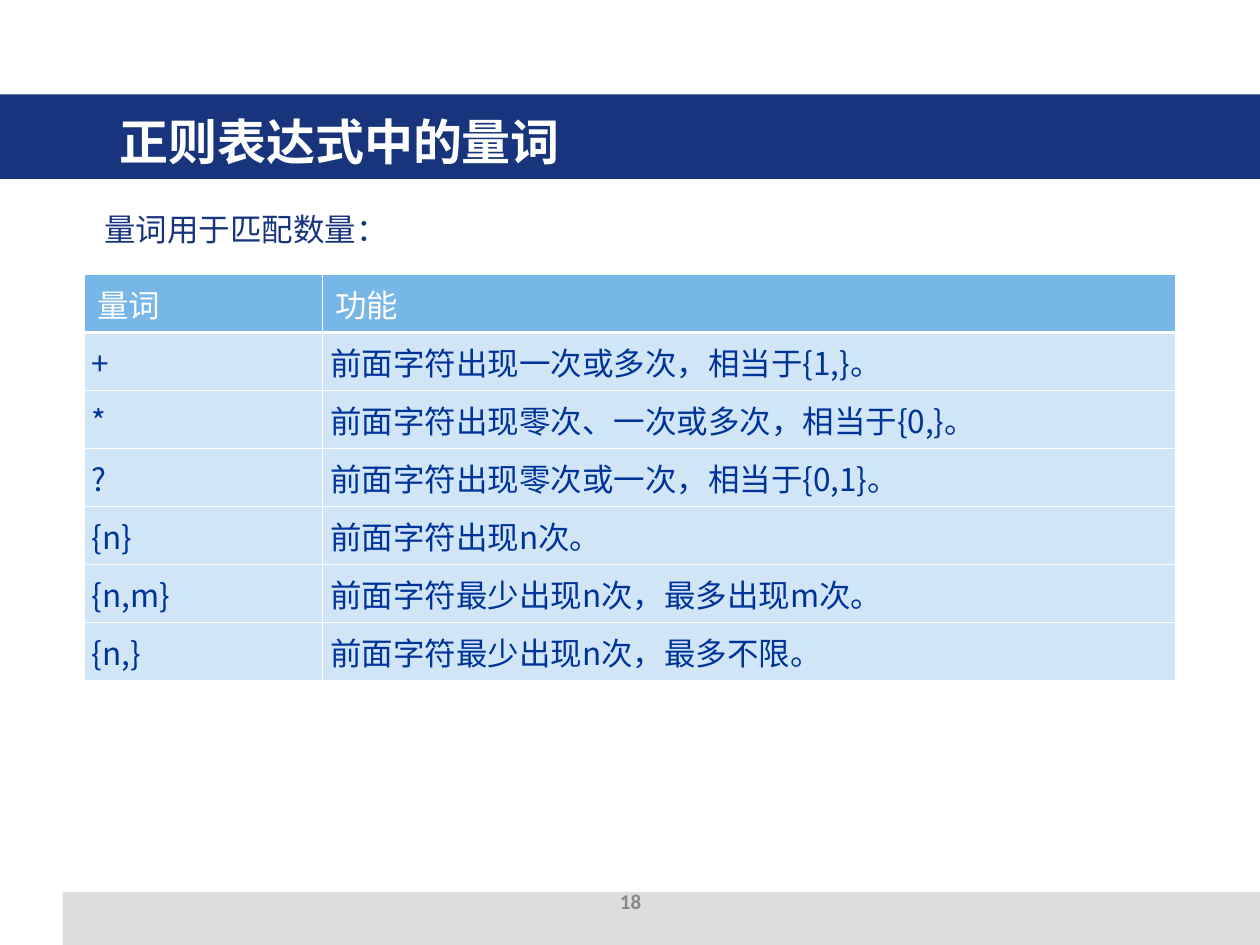
from lxml.etree import SubElement
from pptx import Presentation
from pptx.dml.color import RGBColor
from pptx.enum.shapes import MSO_SHAPE as Shape
from pptx.enum.text import MSO_ANCHOR as Anchor, PP_ALIGN as Align
from pptx.oxml.ns import qn
from pptx.util import Inches, Pt

WHITE = RGBColor(0xFF, 0xFF, 0xFF)
NAVY = RGBColor(0x17, 0x34, 0x7D)
BLUE = RGBColor(0x00, 0x33, 0x99)
SKY = RGBColor(0x77, 0xB7, 0xE7)
PALE_GREY = RGBColor(0xDD, 0xDD, 0xDD)
GREY = RGBColor(0x89, 0x89, 0x89)
FONT = "Noto Sans CJK SC"
THIN, THICK = 0.45, 1.47
COLUMNS = (1.89, 6.77)
ROW_HEIGHT = 0.46
QUANTIFIERS = (
    ("量词", "功能"),
    ("+", "前面字符出现一次或多次，相当于{1,}。"),
    ("*", "前面字符出现零次、一次或多次，相当于{0,}。"),
    ("?", "前面字符出现零次或一次，相当于{0,1}。"),
    ("{n}", "前面字符出现n次。"),
    ("{n,m}", "前面字符最少出现n次，最多出现m次。"),
    ("{n,}", "前面字符最少出现n次，最多不限。"),
)


def style(para, size, color, bold=False, name=FONT):
    """Set the font of a paragraph for Latin and East Asian text."""
    font = para.font
    font.size, font.bold, font.name = Pt(size), bold, name
    font.color.rgb = color
    SubElement(para._p.pPr.find(qn("a:defRPr")), qn("a:ea"), typeface=name)


def add_band(page, area, color):
    """Draw a plain filled rectangle."""
    band = page.shapes.add_shape(Shape.RECTANGLE, *map(Inches, area))
    band.shadow.inherit = False
    band.fill.solid()
    band.fill.fore_color.rgb = color
    band.line.fill.background()


def add_text(page, area, text, size, color, anchor=Anchor.MIDDLE, align=Align.LEFT, **font):
    """Place a one-paragraph text box."""
    frame = page.shapes.add_textbox(*map(Inches, area)).text_frame
    frame.word_wrap = True
    frame.vertical_anchor = anchor
    para = frame.paragraphs[0]
    para.text, para.alignment = text, align
    style(para, size, color, **font)


def add_borders(cell, top, bottom):
    """Give a cell white borders of the given top and bottom widths."""
    properties = cell._tc.get_or_add_tcPr()
    for side, width in (("L", THIN), ("R", THIN), ("T", top), ("B", bottom)):
        line = SubElement(properties, qn(f"a:ln{side}"), w=str(Pt(width)))
        fill = SubElement(line, qn("a:solidFill"))
        SubElement(fill, qn("a:srgbClr"), val=str(WHITE))


def fill_cell(cell, text, row):
    """Write and format one table cell according to its row."""
    is_header = row == 0
    para = cell.text_frame.paragraphs[0]
    para.text = text
    style(para, 18, WHITE if is_header else BLUE)
    add_borders(cell, THICK if row == 1 else THIN, THICK if is_header else THIN)
    cell.fill.solid()
    cell.fill.fore_color.rgb = SKY
    if not is_header:
        cell.vertical_anchor = Anchor.MIDDLE
        cell.margin_left, cell.margin_right = Inches(0.06), Inches(0.16)
        color = cell._tc.tcPr.find(qn("a:solidFill")).find(qn("a:srgbClr"))
        SubElement(color, qn("a:alpha"), val="34000")


def add_quantifier_table(page, left, top):
    """Build the table of quantifiers."""
    size = (sum(COLUMNS), ROW_HEIGHT * len(QUANTIFIERS))
    table = page.shapes.add_table(
        len(QUANTIFIERS), len(COLUMNS), *map(Inches, (left, top, *size))).table
    table.horz_banding = False
    for column, width in zip(table.columns, COLUMNS):
        column.width = Inches(width)
    for row, texts in enumerate(QUANTIFIERS):
        table.rows[row].height = Inches(ROW_HEIGHT)
        for column, text in enumerate(texts):
            fill_cell(table.cell(row, column), text, row)


def main():
    """Build and save the slide."""
    deck = Presentation()
    deck.slide_width, deck.slide_height = Inches(10), Inches(7.5)
    page = deck.slides.add_slide(deck.slide_layouts[6])
    add_band(page, (0.5, 7.08, 9.5, 0.42), PALE_GREY)
    add_band(page, (0, 0.75, 10, 0.67), NAVY)
    add_text(page, (0.85, 0.84, 6.35, 0.55), "正则表达式中的量词", 28, WHITE, bold=True)
    add_text(page, (0.73, 1.62, 8.69, 0.47), "量词用于匹配数量：", 18, NAVY, Anchor.TOP)
    add_text(page, (3.42, 6.95, 3.17, 0.4), "18", 12, GREY,
             align=Align.CENTER, bold=True, name="Calibri")
    add_quantifier_table(page, 0.67, 2.18)
    deck.save("out.pptx")


if __name__ == "__main__":
    main()
